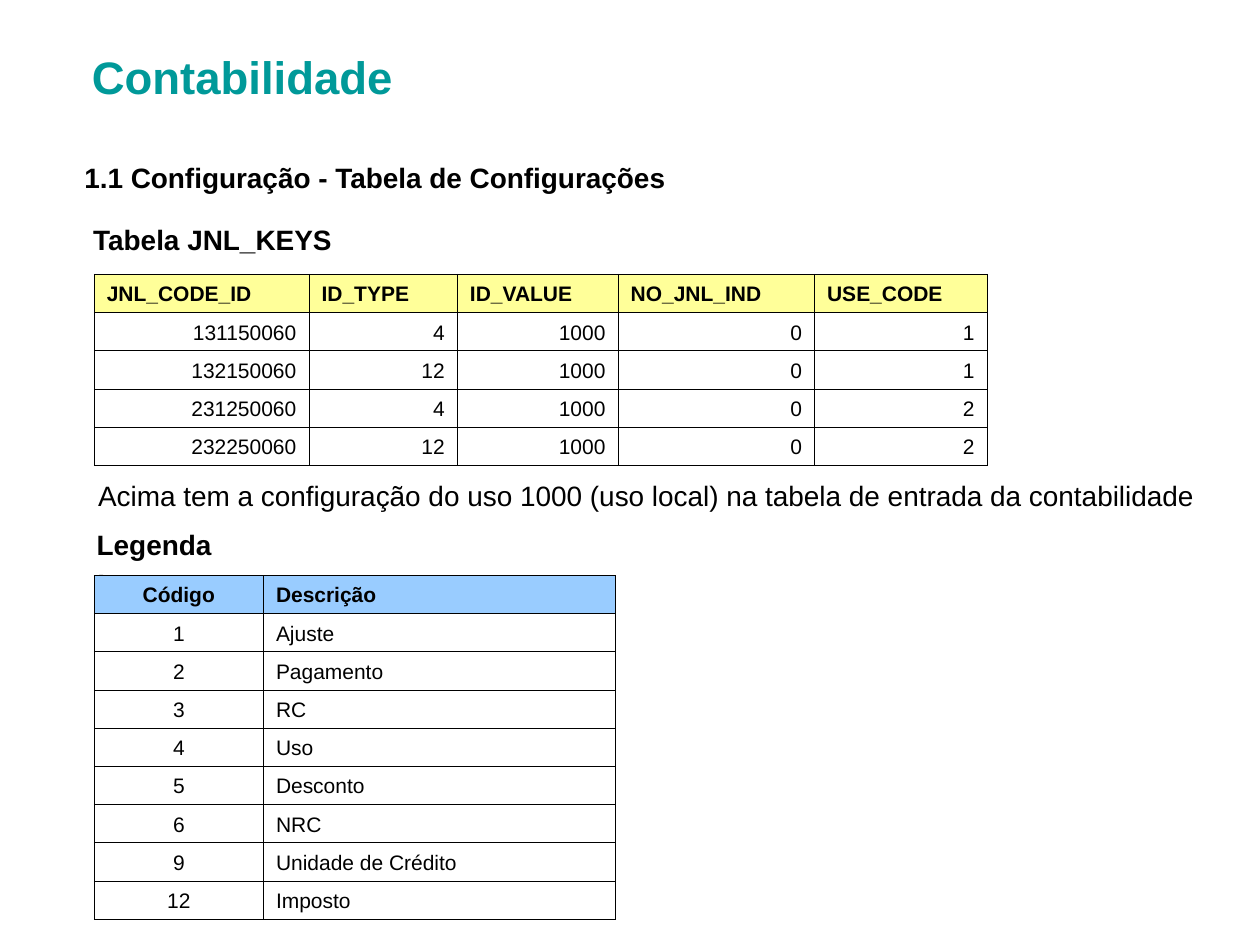
from lxml import etree
from pptx import Presentation
from pptx import util as u
from pptx.dml.color import RGBColor
from pptx.enum import text
from pptx.oxml.ns import qn

# Content
TITLE = "Contabilidade"
# wording, left, top, width (cm), bold
LINES = [
    ("1.1 Configuração - Tabela de Configurações", 1.45, 3.12, 12.27, True),
    ("Tabela JNL_KEYS", 1.63, 4.37, 5.36, True),
    ("Acima tem a configuração do uso 1000 (uso local) na tabela de entrada "
     "da contabilidade", 1.73, 9.53, 22.61, False),
    ("Legenda:", 1.7, 10.52, 3.0, True),
]
KEYS = [
    ("JNL_CODE_ID", "ID_TYPE", "ID_VALUE", "NO_JNL_IND", "USE_CODE"),
    ("131150060", "4", "1000", "0", "1"),
    ("132150060", "12", "1000", "0", "1"),
    ("231250060", "4", "1000", "0", "2"),
    ("232250060", "12", "1000", "0", "2"),
]
LEGEND = [
    ("Código", "Descrição"),
    ("1", "Ajuste"),
    ("2", "Pagamento"),
    ("3", "RC"),
    ("4", "Uso"),
    ("5", "Desconto"),
    ("6", "NRC"),
    ("9", "Unidade de Crédito"),
    ("12", "Imposto"),
]

THEME = {
    "font": "Arial", "title_size": 26, "text_size": 16, "cell_size": 12,
    "title": "009999", "text": "000000", "border": "000000",
    "keys_head": "FFFF99", "legend_head": "99CCFF", "border_width": 0.45,
}
TABLE_LEFT, ROW_HEIGHT = 1.9, 0.77
LEFT, CENTER, RIGHT = text.PP_ALIGN.LEFT, text.PP_ALIGN.CENTER, text.PP_ALIGN.RIGHT


def write(tf, words, size, color, bold, align=LEFT):
    tf.text = words
    p = tf.paragraphs[0]
    p.alignment = align
    font = p.runs[0].font
    font.name, font.size, font.bold = THEME["font"], u.Pt(size), bold
    font.color.rgb = RGBColor.from_string(color)


def set_borders(cell):
    tcPr = cell._tc.get_or_add_tcPr()
    for i, side in enumerate(("lnL", "lnR", "lnT", "lnB")):
        ln = etree.Element(qn("a:" + side), w=str(u.Pt(THEME["border_width"])))
        fill = etree.SubElement(ln, qn("a:solidFill"))
        etree.SubElement(fill, qn("a:srgbClr"), val=THEME["border"])
        tcPr.insert(i, ln)


def add_grid(slide, rows, top, widths, head_fill, head_aligns, body_aligns):
    table = slide.shapes.add_table(
        len(rows), len(widths), u.Cm(TABLE_LEFT), u.Cm(top),
        u.Cm(sum(widths)), u.Cm(ROW_HEIGHT * len(rows))).table
    table.first_row = table.horz_banding = False
    for column, width in zip(table.columns, widths):
        column.width = u.Cm(width)
    for r, values in enumerate(rows):
        head = r == 0
        table.rows[r].height = u.Cm(ROW_HEIGHT)
        for c, value in enumerate(values):
            cell = table.cell(r, c)
            cell.vertical_anchor = text.MSO_ANCHOR.BOTTOM
            align = (head_aligns if head else body_aligns)[c]
            write(cell.text_frame, value, THEME["cell_size"], THEME["text"], head, align)
            if head:
                cell.fill.solid()
                cell.fill.fore_color.rgb = RGBColor.from_string(head_fill)
            else:
                cell.fill.background()
            set_borders(cell)


def main():
    prs = Presentation()
    prs.slide_width, prs.slide_height = u.Cm(25.4), u.Cm(19.05)
    slide = prs.slides.add_slide(prs.slide_layouts[5])

    # Title
    title = slide.shapes.title
    title.left, title.top = u.Cm(1.09), u.Cm(0.91)
    title.width, title.height = u.Cm(21.41), u.Cm(1.27)
    tf = title.text_frame
    tf.margin_left = u.Cm(0.76)
    tf.vertical_anchor = text.MSO_ANCHOR.MIDDLE
    write(tf, TITLE, THEME["title_size"], THEME["title"], True)

    # Headings and note
    for words, left, top, width, bold in LINES:
        sp = slide.shapes.add_textbox(u.Cm(left), u.Cm(top), u.Cm(width), u.Cm(0.94))
        tf = sp.text_frame
        tf.word_wrap = False
        tf.auto_size = text.MSO_AUTO_SIZE.SHAPE_TO_FIT_TEXT
        write(tf, words, THEME["text_size"], THEME["text"], bold)

    # Tables
    add_grid(slide, KEYS, 5.53, (4.33, 2.99, 3.24, 3.96, 3.48),
             THEME["keys_head"], [LEFT] * 5, [RIGHT] * 5)
    add_grid(slide, LEGEND, 11.6, (3.41, 7.1),
             THEME["legend_head"], (CENTER, LEFT), (CENTER, LEFT))

    prs.save("out.pptx")


if __name__ == "__main__":
    main()
